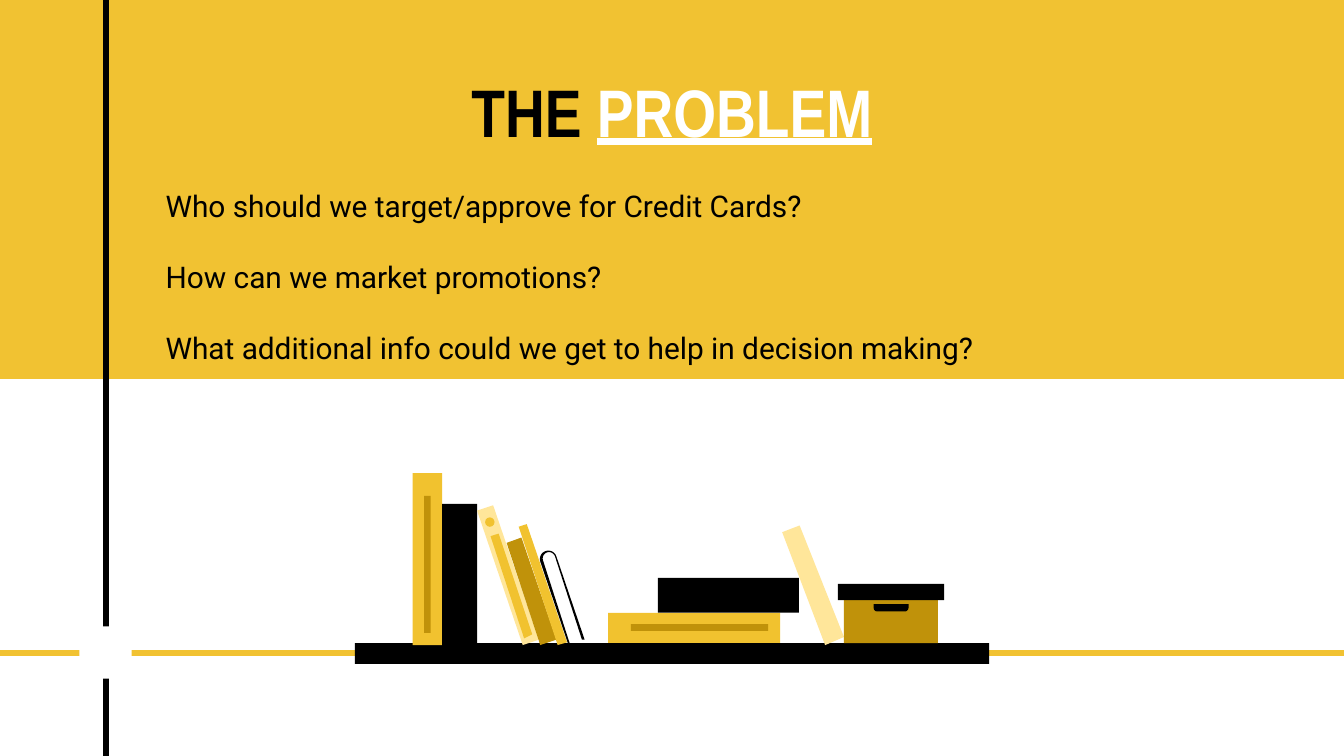
from math import cos, radians, sin

from lxml import etree
from pptx import Presentation
from pptx.dml.color import RGBColor
from pptx.enum.shapes import MSO_CONNECTOR, MSO_SHAPE
from pptx.enum.text import MSO_ANCHOR, PP_ALIGN
from pptx.oxml.ns import qn
from pptx.util import Inches, Pt

RECT, OVAL = MSO_SHAPE.RECTANGLE, MSO_SHAPE.OVAL
ROUND_TOP = MSO_SHAPE.ROUND_2_SAME_RECTANGLE
STRAIGHT = MSO_CONNECTOR.STRAIGHT
TOP, BOTTOM = MSO_ANCHOR.TOP, MSO_ANCHOR.BOTTOM
LEFT, CENTER = PP_ALIGN.LEFT, PP_ALIGN.CENTER

YELLOW = RGBColor(0xF1, 0xC2, 0x32)
BOOK_YELLOW = RGBColor(0xF1, 0xC2, 0x2F)
CREAM = RGBColor(0xFF, 0xE6, 0x9A)
OCHRE = RGBColor(0xC0, 0x92, 0x0A)
BLACK = RGBColor(0, 0, 0)
WHITE = RGBColor(0xFF, 0xFF, 0xFF)

COLS, ROWS = 100, 56.25  # grid of tenths of an inch


def grid(*cells):
    return [Inches(cell / 10) for cell in cells]


def arc(cx, cy, radius, start, end, steps=16):
    """Points on an arc; angles in degrees, clockwise from the right."""
    angles = [radians(start + (end - start) * i / steps) for i in range(steps + 1)]
    return [(cx + radius * cos(a), cy + radius * sin(a)) for a in angles]


class SlideBuilder:
    title_font, body_font = "Arial Narrow", "Roboto"
    title_size, body_size = Pt(36), Pt(16)
    line_width = Pt(3)

    def __init__(self, slide):
        self.shapes = slide.shapes

    def paint(self, shape, color):
        shape.shadow.inherit = False
        shape.fill.solid()
        shape.fill.fore_color.rgb = color
        shape.line.fill.background()
        return shape

    def block(self, col, row, width, height, color, kind=RECT):
        shape = self.shapes.add_shape(kind, *grid(col, row, width, height))
        return self.paint(shape, color)

    def outline(self, points, color):
        first, *rest = [grid(*point) for point in points]
        builder = self.shapes.build_freeform(*first)
        builder.add_line_segments(rest, close=True)
        return self.paint(builder.convert_to_shape(), color)

    def line(self, x1, y1, x2, y2, color):
        connector = self.shapes.add_connector(STRAIGHT, *grid(x1, y1, x2, y2))
        connector.line.color.rgb = color
        connector.line.width = self.line_width
        etree.SubElement(connector._element.spPr, qn("a:effectLst"))

    def text(self, col, row, width, height, paragraphs, font, size,
             align=LEFT, anchor=TOP, bold=False, gap=0):
        """Each paragraph is a list of (text, colour, underline) runs."""
        frame = self.shapes.add_textbox(*grid(col, row, width, height)).text_frame
        frame.word_wrap = True
        frame.vertical_anchor = anchor
        frame.margin_left = frame.margin_right = Inches(0.1)
        frame.margin_top = frame.margin_bottom = Inches(0.1)
        for i, runs in enumerate(paragraphs):
            paragraph = frame.add_paragraph() if i else frame.paragraphs[0]
            paragraph.alignment = align
            paragraph.space_before = Pt(gap if i else 0)
            for words, color, underline in runs:
                run = paragraph.add_run()
                run.text = words
                run.font.name, run.font.size = font, size
                run.font.bold, run.font.underline = bold, underline
                run.font.color.rgb = color


def main():
    prs = Presentation()
    prs.slide_width, prs.slide_height = grid(COLS, ROWS)
    page = SlideBuilder(prs.slides.add_slide(prs.slide_layouts[6]))

    # Backdrop: yellow band, crossing lines and the gap where they meet
    page.block(0, 0, COLS, 28.2, YELLOW)
    page.line(7.9, 0, 7.9, ROWS, BLACK)
    page.line(0, 48.6, COLS, 48.6, YELLOW)
    page.block(5.9, 46.6, 3.9, 3.9, WHITE)

    # Title
    page.text(29.95, 3.95, 40.1, 8.3,
              [[("THE ", BLACK, False), ("PROBLEM", WHITE, True)]],
              page.title_font, page.title_size, CENTER, BOTTOM, bold=True)

    # White book with a rounded top
    inner_top = arc(40.85, 41.55, 0.47, 162, 342)
    outer_top = arc(40.8, 41.6, 0.63, 162, 342)
    page.outline(inner_top + [(43.2, 47.4), (42.4, 47.7)], WHITE)

    # Shelf
    page.block(26.4, 47.85, 47.2, 1.55, BLACK)

    # Leaning book and storage box
    page.outline([(58.2, 39.6), (59.5, 39.1), (62.8, 47.4), (61.4, 48)], CREAM)
    page.block(62.8, 44.65, 7, 3.2, OCHRE)
    page.block(62.35, 43.45, 7.9, 1.2, BLACK)
    handle = page.block(65, 44.95, 2.6, 0.55, BLACK, ROUND_TOP)
    handle.adjustments[0] = 0.5
    handle.rotation = 180

    # Upright books
    page.block(30.7, 35.2, 2.2, 12.8, BOOK_YELLOW)
    page.block(31.55, 36.9, 0.5, 10.2, OCHRE)
    page.block(32.9, 37.5, 2.6, 10.5, BLACK)

    # Tilted books
    page.outline([(40.1, 47.6), (36.7, 37.6), (35.5, 38), (38.9, 48)], CREAM)
    page.block(36.1, 38.5, 0.7, 0.7, BOOK_YELLOW, OVAL)
    for corners, color in (
        ([(36.5, 39.9), (37.1, 39.7), (39.6, 47.2), (39, 47.5)], BOOK_YELLOW),
        ([(37.7, 40.4), (38.8, 40), (41.4, 47.6), (40.2, 48)], OCHRE),
        ([(38.6, 39.2), (39.2, 39), (42.2, 47.8), (41.5, 48)], BOOK_YELLOW),
    ):
        page.outline(corners, color)
    page.outline(outer_top + [(43.5, 47.6), (43.3, 47.6)] + inner_top[::-1]
                 + [(42.4, 47.9), (42.3, 48)], BLACK)

    # Stacked books
    page.block(45.25, 45.6, 12.8, 2.25, BOOK_YELLOW)
    page.block(46.95, 46.45, 10.2, 0.5, OCHRE)
    page.block(48.95, 43, 10.5, 2.6, BLACK)

    # Questions
    questions = (
        "Who should we target/approve for Credit Cards?",
        "How can we market promotions?",
        "What additional info could we get to help in decision making?",
    )
    page.text(11.35, 12.95, 84.6, 15.3, [[(q, BLACK, False)] for q in questions],
              page.body_font, page.body_size, gap=19)

    prs.save("out.pptx")


if __name__ == "__main__":
    main()
